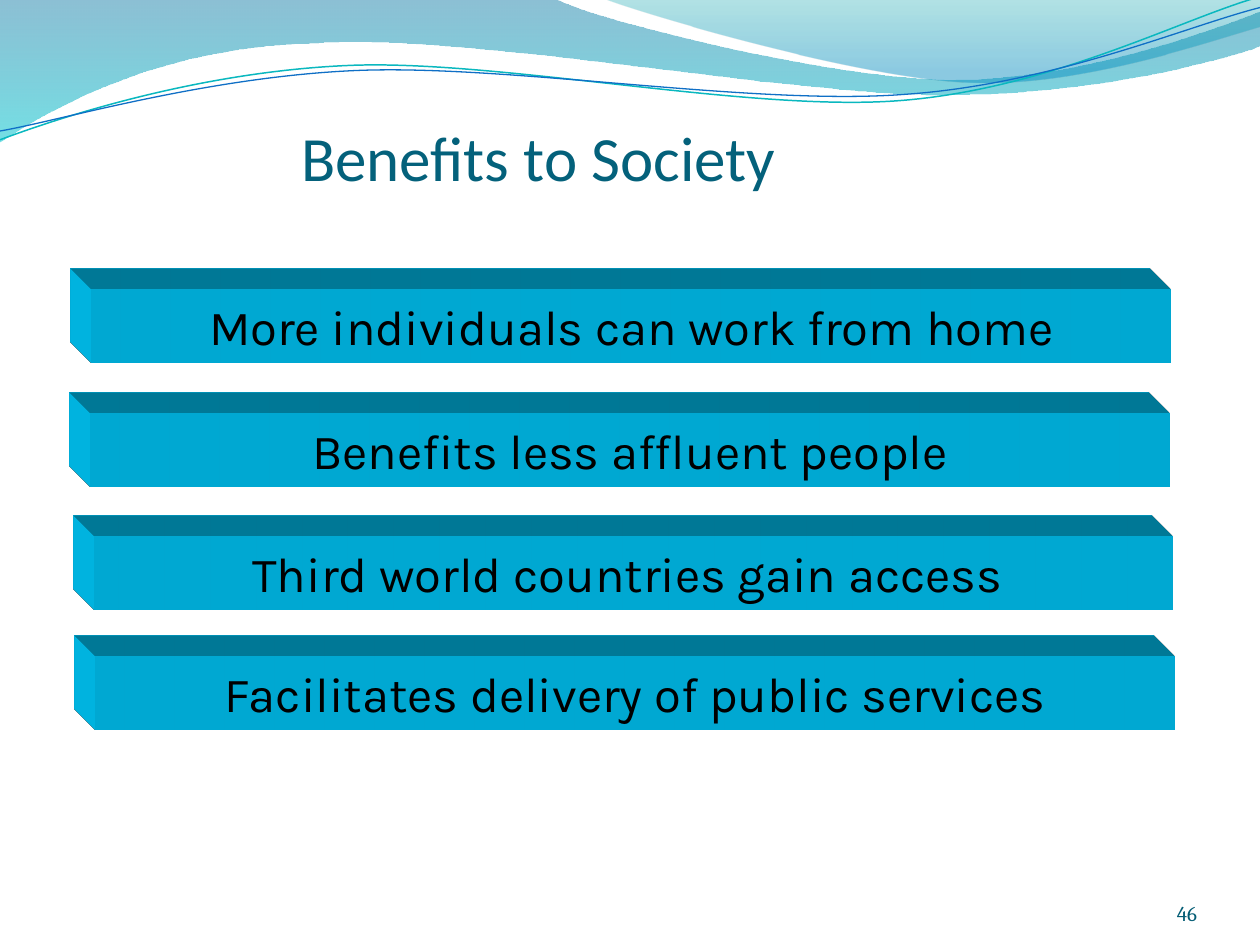
from lxml import etree
from pptx import Presentation
from pptx.dml.color import RGBColor
from pptx.enum.shapes import MSO_SHAPE
from pptx.enum.text import MSO_ANCHOR, MSO_AUTO_SIZE, PP_ALIGN
from pptx.oxml.ns import qn
from pptx.util import Inches, Pt

RECT = MSO_SHAPE.RECTANGLE
MIDDLE, BOTTOM = MSO_ANCHOR.MIDDLE, MSO_ANCHOR.BOTTOM
LEFT, CENTER, RIGHT = PP_ALIGN.LEFT, PP_ALIGN.CENTER, PP_ALIGN.RIGHT
FIXED, GROW = MSO_AUTO_SIZE.NONE, MSO_AUTO_SIZE.SHAPE_TO_FIT_TEXT


def trace(points, bends, close):
    dots = [(Inches(x), Inches(y)) for x, y in points]
    pen = slide.shapes.build_freeform(*dots[0])
    pen.add_line_segments(dots[1:], close=close)
    shape = pen.convert_to_shape()
    shape.shadow.inherit = False
    legs = list(shape.element.spPr.iter(qn("a:lnTo")))
    for first in bends:
        for i in range(first - 1, first + 8, 3):
            bend = etree.Element(qn("a:cubicBezTo"))
            legs[i].addprevious(bend)
            for leg in legs[i:i + 3]:
                bend.append(leg[0])
                leg.getparent().remove(leg)
    return shape


def write(frame, text, size, font, color, align):
    para = frame.paragraphs[0]
    para.alignment = align
    run = para.add_run()
    run.text = text
    run.font.size = Pt(size)
    run.font.name = font
    run.font.color.rgb = RGBColor.from_string(color)


deck = Presentation()
deck.slide_width, deck.slide_height = Inches(10), Inches(7.5)
slide = deck.slides.add_slide(deck.slide_layouts[5])

bands = [
    ([(0, 0), (4.4, -0.01),
      (4.76, 0.17), (6.64, 0.63), (7.58, 0.63),
      (8.53, 0.63), (9.58, 0.26), (10, 0.09), (10.01, 0.36),
      (9.83, 0.44), (8.7, 0.76), (7.46, 0.75),
      (6.22, 0.75), (3.82, 0.28), (2.57, 0.34),
      (1.29, 0.36), (0.46, 0.83), (-0.01, 1.13)],
     [(2, 2), (9, 3)],
     [(0, "0074A1", 45), (1, "00C6CF", 55)]),
    ([(4.79, -0.01),
      (5.09, 0.11), (6.82, 0.62), (7.69, 0.65),
      (8.56, 0.69), (9.61, 0.32), (10, 0.21), (10, 0)],
     [(1, 2)],
     [(0, "00A1A9", 30), (0.8, "008BBF", 45)]),
]
lines = [
    ([(0, 1.11),
      (0.48, 0.93), (1.58, 0.57), (2.77, 0.52),
      (3.95, 0.47), (5.93, 0.89), (7.13, 0.8),
      (8.33, 0.71), (9.38, 0.15), (9.98, -0.02)], "0AB8BF", 0.85),
    ([(0, 1.04),
      (0.47, 0.96), (1.64, 0.61), (2.83, 0.56),
      (4.03, 0.51), (5.97, 0.84), (7.17, 0.75),
      (8.36, 0.67), (9.41, 0.21), (10, 0.06)], "0F6FC6", 0.75),
]
for points, curves, stops in bands:
    starts = [first + 3 * n for first, count in curves for n in range(count)]
    wave = trace(points, [], True)
    legs = list(wave.element.spPr.iter(qn("a:lnTo")))
    for first in starts:
        bend = etree.Element(qn("a:cubicBezTo"))
        legs[first - 1].addprevious(bend)
        for leg in legs[first - 1:first + 2]:
            bend.append(leg[0])
            leg.getparent().remove(leg)
    wave.line.fill.background()
    wave.fill.gradient()
    wave.fill.gradient_angle = 270
    for stop, (place, color, alpha) in zip(wave.fill.gradient_stops, stops):
        stop.position = place
        stop.color.rgb = RGBColor.from_string(color)
    tints = wave.element.spPr.iter(qn("a:srgbClr"))
    for tint, (place, color, alpha) in zip(tints, stops):
        etree.SubElement(tint, qn("a:alpha"), val=str(alpha * 1000))

for points, color, width in lines:
    wave = trace(points, [1], False)
    wave.fill.background()
    wave.line.color.rgb = RGBColor.from_string(color)
    wave.line.width = Pt(width)

title = slide.shapes.title
title.left, title.top = Inches(0.58), Inches(0.2)
title.width, title.height = Inches(9), Inches(1.34)
frame = title.text_frame
frame.auto_size = FIXED
frame.word_wrap = True
frame.vertical_anchor = BOTTOM
frame.margin_left = Inches(1.81)
frame.margin_right = frame.margin_bottom = 0
write(frame, "Benefits to Society", 36, "Calibri", "04617B", LEFT)

bars = [
    (0.73, 2.3, 0.1, "More individuals can work from home"),
    (0.72, 3.28, 0.1, "Benefits less affluent people"),
    (0.75, 4.26, 0.2, "Third world countries gain access"),
    (0.76, 5.21, 0.1, "Facilitates delivery of public services"),
]
for x, y, gap, text in bars:
    bar = slide.shapes.add_shape(
        RECT, Inches(x), Inches(y), Inches(8.56), Inches(0.58))
    bar.shadow.inherit = False
    bar.line.fill.background()
    bar.fill.solid()
    bar.fill.fore_color.rgb = RGBColor.from_string("00CCFF")
    scene = etree.SubElement(bar.element.spPr, qn("a:scene3d"))
    etree.SubElement(scene, qn("a:camera"), prst="legacyObliqueTopLeft")
    etree.SubElement(scene, qn("a:lightRig"), rig="legacyFlat3", dir="b")
    solid = etree.SubElement(bar.element.spPr, qn("a:sp3d"),
                             extrusionH="430200", prstMaterial="legacyMatte")
    tone = etree.SubElement(solid, qn("a:extrusionClr"))
    etree.SubElement(tone, qn("a:srgbClr"), val="00CCFF")
    frame = bar.text_frame
    frame.word_wrap = True
    frame.auto_size = GROW
    frame.vertical_anchor = MIDDLE
    frame.margin_right = Inches(gap)
    write(frame, text, 28, "Karla", "000000", CENTER)

number = slide.shapes.add_textbox(
    Inches(8.67), Inches(6.95), Inches(0.83), Inches(0.4))
frame = number.text_frame
frame.word_wrap = True
frame.vertical_anchor = BOTTOM
frame.margin_left = frame.margin_right = 0
frame.margin_top = frame.margin_bottom = 0
write(frame, "46", 12, "Cambria", "045D75", RIGHT)

deck.save("out.pptx")
